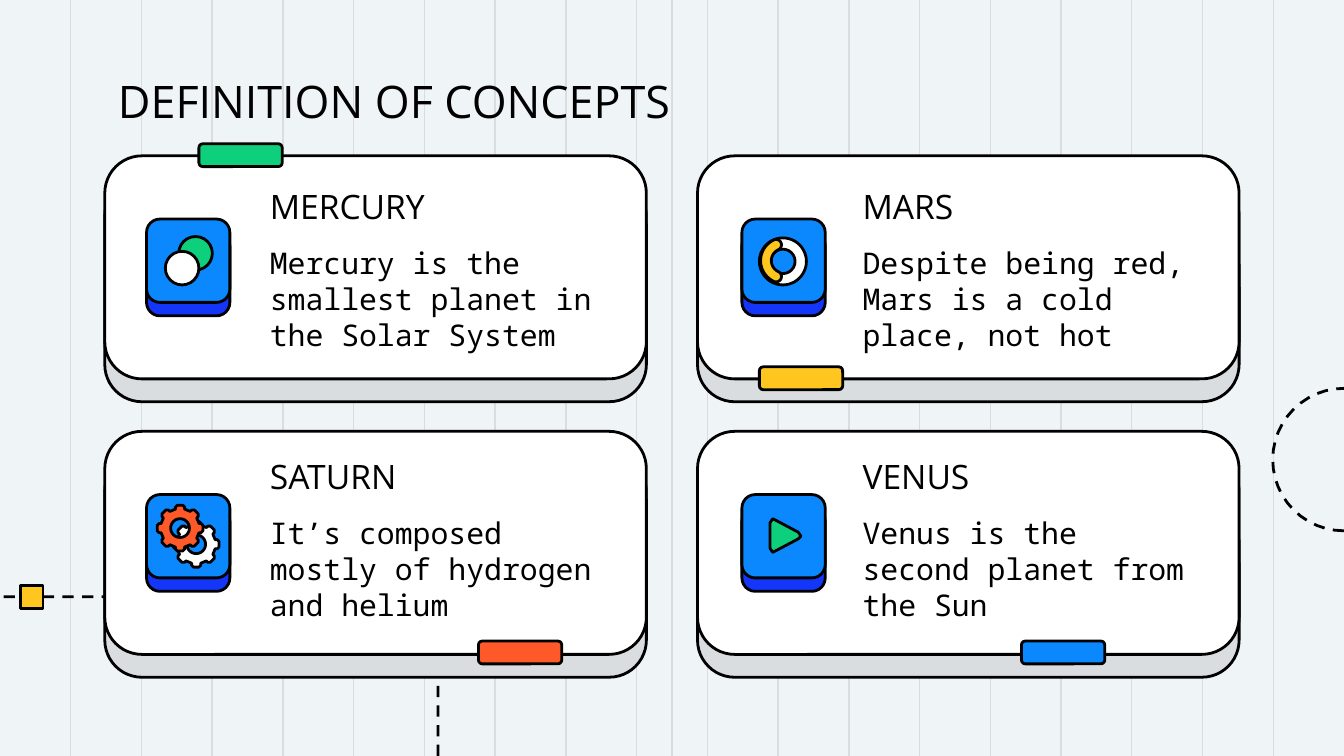
"""Build the four-card "Definition of concepts" slide."""
from dataclasses import dataclass
from math import cos, radians, sin

from lxml.etree import SubElement
from pptx import Presentation
from pptx.dml.color import RGBColor
from pptx.enum.dml import MSO_LINE
from pptx.enum.shapes import MSO_CONNECTOR, MSO_SHAPE
from pptx.enum.text import MSO_ANCHOR
from pptx.oxml.ns import qn
from pptx.util import Inches, Pt


@dataclass(frozen=True)
class Theme:
    paper: str = "EFF4F6"
    grid: str = "D9DDDF"
    ink: str = "000000"
    white: str = "FFFFFF"
    navy: str = "1336F8"
    blue: str = "0C88FF"
    green: str = "0DCF7C"
    yellow: str = "FFC620"
    orange: str = "FF592A"
    head_font: str = "Open Sans"
    body_font: str = "Noto Sans Mono"
    title_size: int = 24
    head_size: int = 18
    body_size: int = 16
    outline: float = 1.5
    hairline: float = 0.75


THEME = Theme()
WIDTH = 10
HEIGHT = WIDTH * 9 / 16
TITLE = "DEFINITION OF CONCEPTS"
COLUMNS = [{"card": 0.78, "tile": 1.09, "text": 1.91}, {"card": 5.19, "tile": 5.52, "text": 6.32}]
ROWS = [{"card": 1.16, "tile": 1.63, "text": 1.29}, {"card": 3.21, "tile": 3.68, "text": 3.3}]
CARDS = [
    {"name": "MERCURY", "text": "Mercury is the smallest planet in the Solar System",
     "cell": (0, 0), "icon": "circles", "tag": (1.48, 1.07), "color": THEME.green},
    {"name": "MARS", "text": "Despite being red, Mars is a cold place, not hot",
     "cell": (0, 1), "icon": "ring", "tag": (5.65, 2.73), "color": THEME.yellow},
    {"name": "SATURN", "text": "It’s composed mostly of hydrogen and helium",
     "cell": (1, 0), "icon": "gears", "tag": (3.56, 4.77), "color": THEME.orange},
    {"name": "VENUS", "text": "Venus is the second planet from the Sun",
     "cell": (1, 1), "icon": "play", "tag": (7.6, 4.77), "color": THEME.blue},
]
PLAY = [(0.23, 0.18), (0.25, 0.19), (0.42, 0.28), (0.44, 0.31), (0.42, 0.33), (0.25, 0.42),
        (0.23, 0.43), (0.21, 0.4), (0.21, 0.21)]
GEAR_RADIUS = 0.17
TOOTH = [(-0.2, 0.83), (-0.2, 0.92), (-0.12, 1), (0.12, 1), (0.2, 0.92), (0.2, 0.83)]


def style(shape, fill=None):
    shape.shadow.inherit = False
    if fill:
        shape.fill.solid()
        shape.fill.fore_color.rgb = RGBColor.from_string(fill)
    else:
        shape.fill.background()
    shape.line.color.rgb = RGBColor.from_string(THEME.ink)
    shape.line.width = Pt(THEME.outline)
    return shape


def add_preset(page, kind, left, top, width, height, fill, adjustment=None):
    shape = page.shapes.add_shape(kind, Inches(left), Inches(top), Inches(width), Inches(height))
    if adjustment is not None:
        shape.adjustments[0] = adjustment
    return style(shape, fill)


def add_outline(page, contours, fill=None):
    closed = fill is not None
    contours = [[(Inches(x), Inches(y)) for x, y in contour] for contour in contours]
    builder = page.shapes.build_freeform(*contours[0][0], scale=1.0)
    for index, contour in enumerate(contours):
        if index:
            builder.move_to(*contour[0])
        builder.add_line_segments(contour[1:], close=closed)
    shape = style(builder.convert_to_shape(), fill)
    if not closed:
        shape.line.dash_style = MSO_LINE.DASH
    return shape


def arc(x, y, radius, start, end, steps=24):
    angles = [radians(start + (end - start) * step / steps) for step in range(steps + 1)]
    return [(x + radius * cos(angle), y + radius * sin(angle)) for angle in angles]


def add_grid_line(page, x):
    line = page.shapes.add_connector(MSO_CONNECTOR.STRAIGHT, Inches(x), 0, Inches(x), Inches(HEIGHT))
    line.line.color.rgb = RGBColor.from_string(THEME.grid)
    line.line.width = Pt(THEME.hairline)
    SubElement(line._element.spPr, qn("a:effectLst"))


def add_text(page, text, left, top, width, height, font, size, anchor=MSO_ANCHOR.MIDDLE):
    box = page.shapes.add_textbox(Inches(left), Inches(top), Inches(width), Inches(height))
    frame = box.text_frame
    frame.word_wrap = True
    frame.vertical_anchor = anchor
    frame.margin_left = frame.margin_right = frame.margin_top = frame.margin_bottom = Inches(0.1)
    paragraph = frame.paragraphs[0]
    paragraph.text = text
    paragraph.font.name = font
    paragraph.font.size = Pt(size)
    paragraph.font.color.rgb = RGBColor.from_string(THEME.ink)


def draw_circles(page, left, top):
    for x, y, color in [(0.24, 0.13, THEME.green), (0.14, 0.24, THEME.white)]:
        add_preset(page, MSO_SHAPE.OVAL, left + x, top + y, 0.25, 0.25, color)


def draw_ring(page, left, top):
    add_preset(page, MSO_SHAPE.DONUT, left + 0.13, top + 0.14, 0.35, 0.35, THEME.white, 0.24)
    x, y = left + 0.31, top + 0.31
    outer, inner, start, end = 0.17, 0.09, 115, 245
    middle, cap = (outer + inner) / 2, (outer - inner) / 2
    first, last = arc(x, y, middle, start, end, 1)
    band = arc(x, y, outer, start, end) + arc(*last, cap, end, end + 180)
    band += arc(x, y, inner, end, start) + arc(*first, cap, start - 180, start)
    add_outline(page, [band], THEME.yellow)


def draw_gears(page, left, top):
    for x, y, color in [(0.37, 0.37, THEME.white), (0.25, 0.25, THEME.orange)]:
        x, y = left + x, top + y
        turns = [radians(45 * tooth) for tooth in range(8)]
        rim = [(x + GEAR_RADIUS * (across * cos(turn) + out * sin(turn)),
                y + GEAR_RADIUS * (across * sin(turn) - out * cos(turn)))
               for turn in turns for across, out in TOOTH]
        add_outline(page, [rim, arc(x, y, 0.07, 0, 360)], color)


def draw_play(page, left, top):
    add_outline(page, [[(left + x, top + y) for x, y in PLAY]], THEME.green)


ICONS = {"circles": draw_circles, "ring": draw_ring, "gears": draw_gears, "play": draw_play}


def draw_background(page):
    page.background.fill.solid()
    page.background.fill.fore_color.rgb = RGBColor.from_string(THEME.paper)
    for x in [WIDTH * step / 19 for step in range(1, 19)] + [WIDTH / 2]:
        add_grid_line(page, x)
    add_outline(page, [arc(WIDTH, 3.42, 0.53, 90, 270)])
    add_outline(page, [[(3.26, HEIGHT)] + arc(2.69, 5.01, 0.57, 0, -90) + [(0, 4.44)]])
    add_preset(page, MSO_SHAPE.RECTANGLE, 0.15, 4.36, 0.17, 0.17, THEME.yellow)


def draw_card(page, card):
    row, column = card["cell"]
    places = {part: (COLUMNS[column][part], ROWS[row][part]) for part in ("card", "tile", "text")}
    left, top = places["card"]
    for drop, color in [(0.17, THEME.grid), (0, THEME.white)]:
        add_preset(page, MSO_SHAPE.ROUNDED_RECTANGLE, left, top + drop, 4.03, 1.66, color, 0.167)
    add_preset(page, MSO_SHAPE.ROUNDED_RECTANGLE, *card["tag"], 0.62, 0.17, card["color"], 0.167)
    left, top = places["text"]
    add_text(page, card["name"], left, top, 2.67, 0.48, THEME.head_font, THEME.head_size)
    add_text(page, card["text"], left, top + 0.42, 2.67, 1.02, THEME.body_font, THEME.body_size)
    left, top = places["tile"]
    for drop, color in [(0.1, THEME.navy), (0, THEME.blue)]:
        add_preset(page, MSO_SHAPE.ROUNDED_RECTANGLE, left, top + drop, 0.62, 0.62, color, 0.16)
    ICONS[card["icon"]](page, left, top)


def main():
    deck = Presentation()
    deck.slide_width, deck.slide_height = Inches(WIDTH), Inches(HEIGHT)
    page = deck.slides.add_slide(deck.slide_layouts[6])
    draw_background(page)
    add_text(page, TITLE, 0.78, 0.42, 8.44, 0.63, THEME.head_font, THEME.title_size, MSO_ANCHOR.BOTTOM)
    for card in CARDS:
        draw_card(page, card)
    deck.save("out.pptx")


if __name__ == "__main__":
    main()
